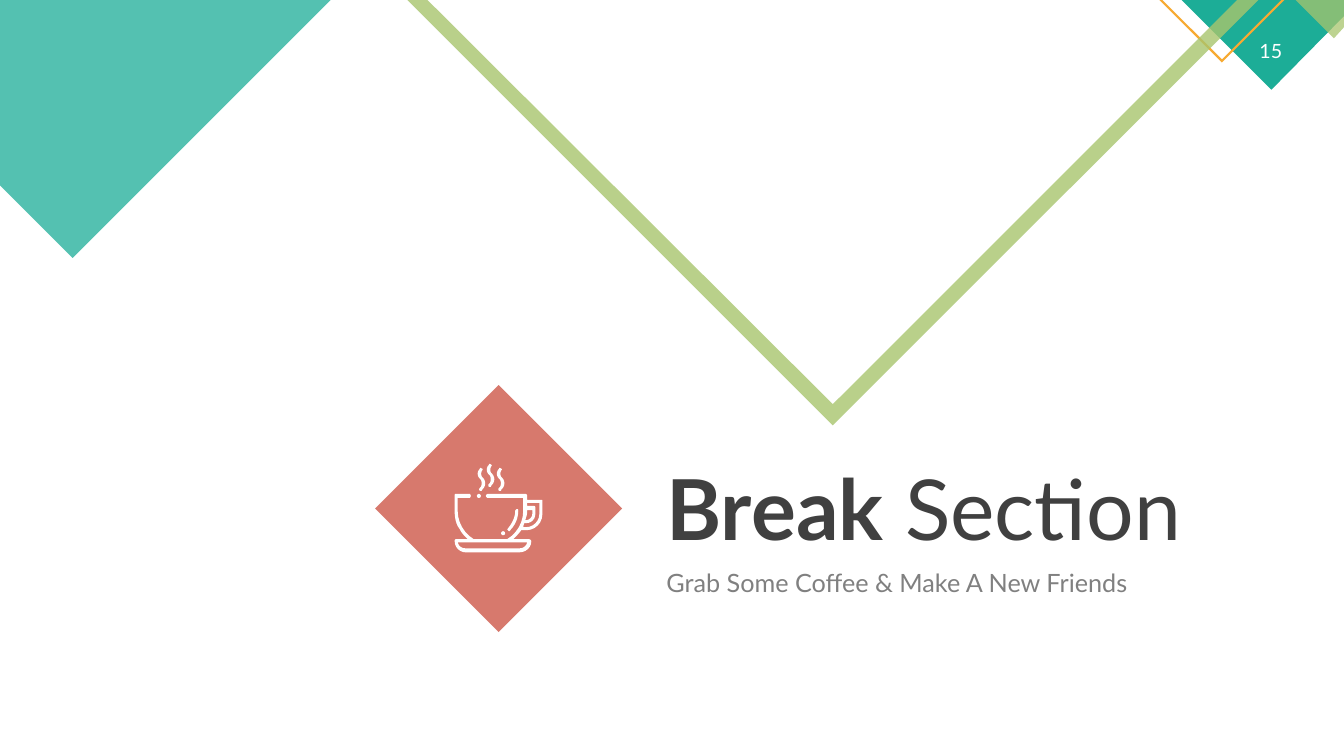
"""Build the break section slide on a grid of 1333 columns by 750 rows."""
from lxml.etree import SubElement
from pptx import Presentation
from pptx.dml.color import RGBColor
from pptx.enum.shapes import MSO_SHAPE as Preset
from pptx.enum.text import MSO_ANCHOR as Anchor, MSO_AUTO_SIZE as AutoSize, PP_ALIGN as Align
from pptx.oxml.ns import qn
from pptx.util import Inches, Pt

CELL = Inches(0.01)
COLUMNS, ROWS = 1333, 750
CURVE_STEPS = 6
FONT = "Lato"
TEAL = RGBColor(0x1C, 0xAD, 0x97)
ORANGE = RGBColor(0xF7, 0xAA, 0x32)
GREEN = RGBColor(0xA8, 0xC5, 0x6D)
RED = RGBColor(0xCA, 0x4D, 0x3D)
WHITE = RGBColor(0xFF, 0xFF, 0xFF)
DARK = RGBColor(0x40, 0x40, 0x40)
GREY = RGBColor(0x80, 0x80, 0x80)

CORNER_BANDS = [
    ([(1172, 0), (1333, 0), (1333, 16), (1261, 89)], TEAL, 100),
    ([(1150, 0), (1153, 0), (1212, 59), (1271, 0), (1274, 0), (1212, 62)], ORANGE, 100),
    ([(1285, 0), (1333, 0), (1333, 27), (1323, 38)], GREEN, 75),
]
LARGE_BANDS = [
    ([(1248, 0), (1227, 0), (826, 401), (424, 0), (404, 0), (826, 422)], GREEN, 80),
    ([(328, 0), (0, 0), (0, 184), (72, 256)], TEAL, 75),
]

ICON_ORIGIN = (451, 460)
CUP = [
    [(86, 36), (72, 36), (72, 32), (72, 31, 71, 30, 70, 30), (33, 30),
     (32, 30, 31, 31, 31, 32), (31, 33, 32, 34, 33, 34), (68, 34), (68, 47),
     (68, 58, 62, 69, 52, 75), (19, 75), (9, 69, 3, 58, 3, 47), (3, 34), (15, 34),
     (15, 34, 16, 33, 16, 32), (16, 31, 15, 30, 15, 30), (1, 30),
     (0, 30, 0, 31, 0, 32), (0, 47), (0, 53, 1, 60, 5, 65), (7, 69, 10, 72, 13, 75),
     (1, 75), (0, 75, 0, 76, 0, 77), (0, 83, 5, 88, 11, 88), (64, 88),
     (71, 88, 76, 83, 76, 77), (76, 76, 75, 75, 74, 75), (58, 75),
     (61, 72, 64, 69, 66, 66), (71, 66), (80, 66, 87, 59, 87, 50), (87, 37),
     (87, 36, 87, 36, 86, 36)],
    [(64, 84), (11, 84), (7, 84, 4, 82, 3, 78), (72, 78), (71, 82, 68, 84, 64, 84)],
    [(72, 46), (77, 46), (77, 50), (77, 53, 74, 56, 71, 56), (70, 56),
     (71, 53, 72, 50, 72, 47)],
    [(84, 50), (84, 57, 78, 63, 71, 63), (68, 63), (68, 61, 69, 60, 69, 59), (71, 59),
     (76, 59, 80, 55, 80, 50), (80, 44), (80, 43, 80, 42, 79, 42), (72, 42),
     (72, 39), (84, 39)],
]
STEAM = [
    [(4, 12), (5, 14, 5, 17, 4, 19), (3, 20), (2, 21, 2, 22, 3, 23),
     (3, 23, 4, 23, 4, 23), (5, 23, 5, 23, 5, 22), (6, 21), (9, 18, 9, 13, 6, 10),
     (5, 9), (4, 7, 4, 5, 5, 3), (6, 2, 6, 1, 5, 1), (4, 0, 3, 0, 3, 1),
     (0, 4, 0, 8, 3, 11)],
]
STEAM_OFFSETS = [(31, 0), (41, 4), (22, 4)]
GLINT = [
    [(55, 66), (60, 61, 63, 54, 63, 47), (63, 46, 63, 45, 62, 45),
     (61, 45, 60, 46, 60, 47), (60, 53, 57, 59, 53, 64), (52, 65, 52, 66, 53, 66),
     (53, 67, 54, 67, 54, 67), (54, 67, 55, 67, 55, 66)],
]
DOT_OFFSETS = [(22, 30), (46, 67)]
DOT_SIZE = 4


def paint(shape, color, opacity=100):
    """Give a shape a plain fill without line or shadow."""
    shape.shadow.inherit = False
    shape.fill.solid()
    shape.fill.fore_color.rgb = color
    shape.line.fill.background()
    if opacity < 100:
        for color_element in shape.element.spPr.iter(qn("a:srgbClr")):
            SubElement(color_element, qn("a:alpha"), val=str(opacity * 1000))


def flatten(contour):
    """Turn points and cubic curve segments into a list of points."""
    points = [contour[0]]
    for segment in contour[1:]:
        if len(segment) == 2:
            points.append(segment)
            continue
        controls = [points[-1], segment[:2], segment[2:4], segment[4:]]
        for step in range(1, CURVE_STEPS + 1):
            t = step / CURVE_STEPS
            weights = [(1 - t) ** 3, 3 * t * (1 - t) ** 2, 3 * t * t * (1 - t), t ** 3]
            points.append(tuple(
                sum(weight * value for weight, value in zip(weights, axis))
                for axis in zip(*controls)))
    return points


def add_outline(slide, contours, color, opacity=100, origin=(0, 0)):
    """Draw closed contours as one filled freeform."""
    builder = None
    for contour in contours:
        points = [((x + origin[0]) * CELL, (y + origin[1]) * CELL)
                  for x, y in flatten(contour)]
        if builder is None:
            builder = slide.shapes.build_freeform(*points[0], scale=1.0)
        else:
            builder.move_to(*points[0])
        builder.add_line_segments(points[1:], close=True)
    paint(builder.convert_to_shape(), color, opacity)


def add_preset(slide, preset, box, color, opacity=100):
    """Draw a filled preset shape in a box of cells."""
    shape = slide.shapes.add_shape(preset, *(length * CELL for length in box))
    paint(shape, color, opacity)


def write_text(shape, box, runs, size, color, alignment=Align.LEFT):
    """Place a text shape and fill it with one line of (text, bold) runs."""
    for name, length in zip(("left", "top", "width", "height"), box):
        setattr(shape, name, length * CELL)
    frame = shape.text_frame
    frame_format = {"word_wrap": True, "auto_size": AutoSize.NONE,
                    "vertical_anchor": Anchor.TOP}
    for name, value in frame_format.items():
        setattr(frame, name, value)
    paragraph = frame.paragraphs[0]
    paragraph.alignment = alignment
    paragraph.space_before = Pt(0)
    for text, bold in runs:
        run = paragraph.add_run()
        run.text = text
        for name, value in {"name": FONT, "size": Pt(size), "bold": bold}.items():
            setattr(run.font, name, value)
        run.font.color.rgb = color


def add_coffee_icon(slide):
    """Draw the steaming cup."""
    column, row = ICON_ORIGIN
    add_outline(slide, CUP, WHITE, origin=ICON_ORIGIN)
    for x, y in STEAM_OFFSETS:
        add_outline(slide, STEAM, WHITE, origin=(column + x, row + y))
    add_outline(slide, GLINT, WHITE, origin=ICON_ORIGIN)
    for x, y in DOT_OFFSETS:
        add_preset(slide, Preset.OVAL, (column + x, row + y, DOT_SIZE, DOT_SIZE), WHITE)


def main():
    """Build and save the slide."""
    presentation = Presentation()
    presentation.slide_width = COLUMNS * CELL
    presentation.slide_height = ROWS * CELL
    slide = presentation.slides.add_slide(presentation.slide_layouts[0])
    title, subtitle = slide.placeholders
    for contour, color, opacity in CORNER_BANDS:
        add_outline(slide, [contour], color, opacity)
    number = slide.shapes.add_textbox(0, 0, CELL, CELL)
    write_text(number, (1233, 34, 55, 34), [("15", False)], 14, WHITE, Align.CENTER)
    for contour, color, opacity in LARGE_BANDS:
        add_outline(slide, [contour], color, opacity)
    add_preset(slide, Preset.DIAMOND, (372, 382, 245, 245), RED, 75)
    write_text(title, (651, 448, 540, 111), [("Break", True), (" Section", False)], 60, DARK)
    write_text(subtitle, (651, 558, 479, 40),
               [("Grab Some Coffee & Make A New Friends", False)], 18, GREY)
    add_coffee_icon(slide)
    presentation.save("out.pptx")


if __name__ == "__main__":
    main()
